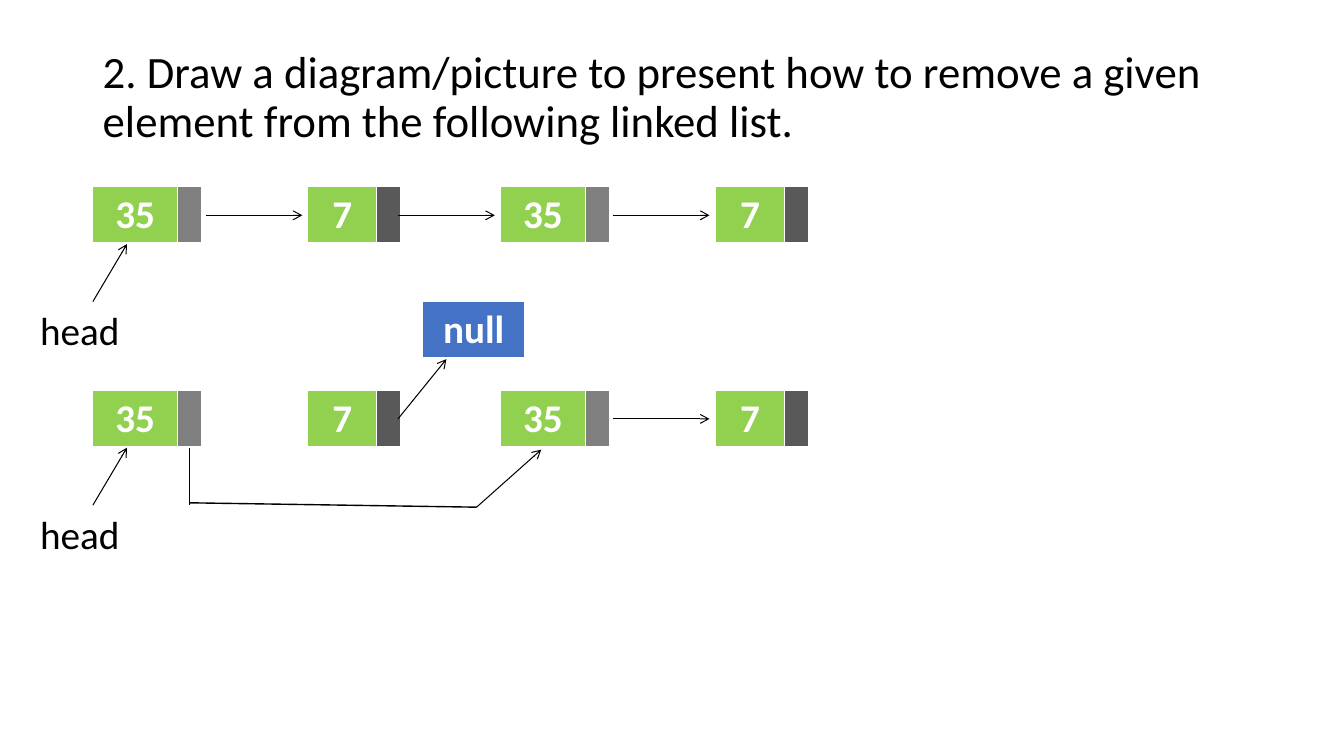
from dataclasses import dataclass

from lxml import etree
from pptx import Presentation
from pptx import util as u
from pptx.dml.color import RGBColor
from pptx.enum import shapes, text
from pptx.oxml import ns


@dataclass(frozen=True)
class Theme:
    font: str = "Calibri"
    title_size: int = 32
    body_size: int = 28
    ink: str = "000000"
    paper: str = "FFFFFF"
    value: str = "92D050"
    first_pointer: str = "808080"
    second_pointer: str = "595959"
    null: str = "4472C4"


THEME = Theme()
NODE_HEIGHT = 1.45
MID_NODE = NODE_HEIGHT / 2
PAIR_LEFTS = (2.34, 12.62)
PAIR_WIDTHS = (2.13, 0.58, 2.67, 1.75, 0.58)
PAIR_CELLS = (("35", THEME.value), ("", THEME.first_pointer), ("", None),
              ("7", THEME.value), ("", THEME.second_pointer))
LINK_LENGTH = 2.44
LINK_LEFTS = {"first": 5.18, "middle": 10.03, "last": 15.44}


def add_run(paragraph, words, size, color, bold=False):
    run = paragraph.add_run()
    run.text = words
    run.font.name = THEME.font
    run.font.size = u.Pt(size)
    run.font.bold = bold
    run.font.color.rgb = RGBColor.from_string(color)


def add_label(slide, words, box, size, anchor=text.MSO_ANCHOR.TOP, spacing=1.0):
    frame = slide.shapes.add_textbox(*map(u.Cm, box)).text_frame
    frame.word_wrap = True
    frame.vertical_anchor = anchor
    paragraph = frame.paragraphs[0]
    paragraph.line_spacing = spacing
    add_run(paragraph, words, size, THEME.ink)


def set_borders(cell):
    properties = cell._tc.get_or_add_tcPr()
    for side, points in (("L", 1), ("R", 1), ("T", 1), ("B", 3)):
        border = etree.SubElement(properties, ns.qn(f"a:ln{side}"), w=str(u.Pt(points)))
        fill = etree.SubElement(border, ns.qn("a:solidFill"))
        etree.SubElement(fill, ns.qn("a:srgbClr"), val=THEME.paper)


def add_cells(slide, left, top, widths, cells):
    frame = slide.shapes.add_table(1, len(widths), u.Cm(left), u.Cm(top),
                                   u.Cm(sum(widths)), u.Cm(NODE_HEIGHT))
    grid = frame.table
    grid.first_row = grid.horz_banding = False
    for index, (width, (words, color)) in enumerate(zip(widths, cells)):
        grid.columns[index].width = u.Cm(width)
        cell = grid.cell(0, index)
        set_borders(cell)
        cell.vertical_anchor = text.MSO_ANCHOR.MIDDLE
        if color:
            cell.fill.solid()
            cell.fill.fore_color.rgb = RGBColor.from_string(color)
        else:
            cell.fill.background()
        if words:
            paragraph = cell.text_frame.paragraphs[0]
            paragraph.alignment = text.PP_ALIGN.CENTER
            add_run(paragraph, words, THEME.body_size, THEME.paper, bold=True)


def add_line(slide, start, end, weight=0.75, arrow=True):
    line = slide.shapes.add_connector(shapes.MSO_CONNECTOR.STRAIGHT,
                                      *map(u.Cm, (*start, *end)))
    line.line.color.rgb = RGBColor.from_string(THEME.ink)
    line.line.width = u.Pt(weight)
    if arrow:
        etree.SubElement(line.line._get_or_add_ln(), ns.qn("a:tailEnd"), type="arrow")
    etree.SubElement(line._element.spPr, ns.qn("a:effectLst"))


def add_linked_list(slide, top, links):
    for left in PAIR_LEFTS:
        add_cells(slide, left, top, PAIR_WIDTHS, PAIR_CELLS)
    for link in links:
        left, middle = LINK_LEFTS[link], top + MID_NODE
        add_line(slide, (left, middle), (left + LINK_LENGTH, middle))
    head_top = top + 2 * NODE_HEIGHT
    add_label(slide, "head", (0.76, head_top, 3.15, NODE_HEIGHT), THEME.body_size)
    add_line(slide, (PAIR_LEFTS[0], head_top), (3.2, top + NODE_HEIGHT))


def add_removal(slide, top):
    add_cells(slide, 10.64, 7.6, (2.59,), (("null", THEME.null),))
    add_line(slide, (LINK_LEFTS["middle"], top + MID_NODE), (11.25, 9.05))
    bypass_left, bend = 4.78, (12.01, 12.78)
    add_line(slide, (bypass_left, 11.28), (bypass_left, 12.73), weight=1, arrow=False)
    add_line(slide, (bypass_left, 12.67), bend, weight=1, arrow=False)
    add_line(slide, bend, (13.64, 11.33))


def main():
    deck = Presentation()
    deck.slide_width, deck.slide_height = u.Cm(33.87), u.Cm(19.05)
    slide = deck.slides.add_slide(deck.slide_layouts[6])
    add_label(slide, "2. Draw a diagram/picture to present how to remove a given "
              "element from the following linked list.", (2.34, 0.64, 29.21, 3.68),
              THEME.title_size, text.MSO_ANCHOR.MIDDLE, 0.9)
    before_top, after_top = 4.7, 9.83
    add_linked_list(slide, before_top, ("first", "middle", "last"))
    add_linked_list(slide, after_top, ("last",))
    add_removal(slide, after_top)
    deck.save("out.pptx")


main()
